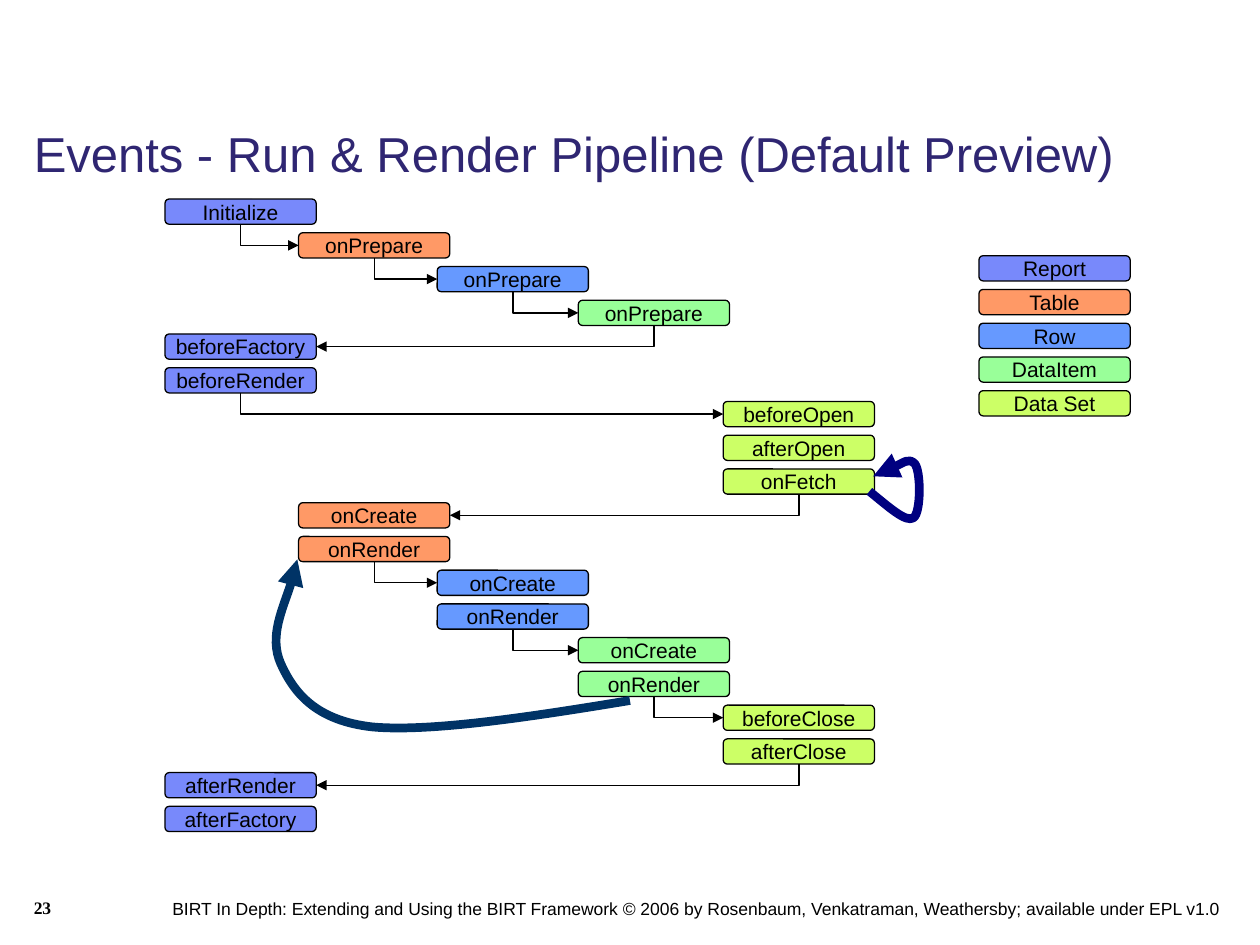
from itertools import pairwise

from lxml.etree import SubElement
from pptx import Presentation
from pptx.dml.color import RGBColor
from pptx.enum.shapes import MSO_CONNECTOR, MSO_SHAPE
from pptx.enum.text import MSO_ANCHOR, PP_ALIGN
from pptx.oxml.ns import qn
from pptx.util import Inches, Pt

BLACK = RGBColor(0x00, 0x00, 0x00)
INDIGO = RGBColor(0x2F, 0x26, 0x72)
NAVY = RGBColor(0x00, 0x00, 0x80)
DARK_TEAL = RGBColor(0x00, 0x33, 0x66)

# Content: each kind of element has its own colour and column
KINDS = {
    "Report": (RGBColor(0x78, 0x89, 0xFB), 1.31),
    "Table": (RGBColor(0xFF, 0x99, 0x66), 2.37),
    "Row": (RGBColor(0x66, 0x99, 0xFF), 3.47),
    "DataItem": (RGBColor(0x99, 0xFF, 0x99), 4.59),
    "Data Set": (RGBColor(0xCC, 0xFF, 0x66), 5.74),
}
EVENTS = [
    ("Report", "Initialize"),
    ("Table", "onPrepare"),
    ("Row", "onPrepare"),
    ("DataItem", "onPrepare"),
    ("Report", "beforeFactory"),
    ("Report", "beforeRender"),
    ("Data Set", "beforeOpen"),
    ("Data Set", "afterOpen"),
    ("Data Set", "onFetch"),
    ("Table", "onCreate"),
    ("Table", "onRender"),
    ("Row", "onCreate"),
    ("Row", "onRender"),
    ("DataItem", "onCreate"),
    ("DataItem", "onRender"),
    ("Data Set", "beforeClose"),
    ("Data Set", "afterClose"),
    ("Report", "afterRender"),
    ("Report", "afterFactory"),
]
# Loop arrows: a start point, then two control points and an end per curve
LOOPS = [
    (NAVY, [(6.9, 3.9), (7.05, 4.02), (7.19, 4.15), (7.25, 4.11),
            (7.31, 4.07), (7.31, 3.74), (7.26, 3.68),
            (7.21, 3.63), (6.99, 3.76), (6.93, 3.78)]),
    (DARK_TEAL, [(5, 5.56), (4.21, 5.69), (3.42, 5.81), (2.96, 5.77),
                 (2.5, 5.72), (2.33, 5.49), (2.23, 5.27),
                 (2.13, 5.05), (2.35, 4.57), (2.36, 4.44)]),
]
# Text, left, top, width, height, anchor, line spacing, font
TEXTS = [
    ("Events - Run & Render Pipeline (Default Preview)",
     (0.17, 0.95, 9.02, 0.55), MSO_ANCHOR.BOTTOM, 0.9,
     {"name": "Arial", "size": Pt(28)}, INDIGO),
    ("BIRT In Depth: Extending and Using the BIRT Framework © 2006 by Rosenbaum, "
     "Venkatraman, Weathersby; available under EPL v1.0",
     (1.27, 7.08, 8.73, 0.27), MSO_ANCHOR.TOP, 1.0,
     {"name": "Arial", "size": Pt(10)}, BLACK),
    ("23", (0.17, 7.07, 1.1, 0.35), MSO_ANCHOR.TOP, 1.0,
     {"name": "Times New Roman", "size": Pt(10), "bold": True}, BLACK),
]

# Grid, in inches
BOX_WIDTH, BOX_HEIGHT = 1.2, 0.2
FIRST_ROW, LAST_ROW = 1.58, 6.4
ROW_PITCH = (LAST_ROW - FIRST_ROW) / (len(EVENTS) - 1)
LEGEND_LEFT, LEGEND_TOP = 7.77, 2.03


def write(shape, text, font_values, color):
    paragraph = shape.text_frame.paragraphs[0]
    run = paragraph.add_run()
    run.text = text
    for name, value in font_values.items():
        setattr(run.font, name, value)
    run.font.color.rgb = color
    return paragraph


def add_box(slide, text, color, left, top):
    box = slide.shapes.add_shape(
        MSO_SHAPE.FLOWCHART_ALTERNATE_PROCESS,
        *map(Inches, (left, top, BOX_WIDTH, BOX_HEIGHT)))
    box.shadow.inherit = False
    box.fill.solid()
    box.fill.fore_color.rgb = color
    box.line.color.rgb = BLACK
    box.line.width = Pt(0.75)
    box.text_frame.word_wrap = False
    box.text_frame.vertical_anchor = MSO_ANCHOR.MIDDLE
    paragraph = write(box, text, {"name": "Arial", "size": Pt(12)}, BLACK)
    paragraph.alignment = PP_ALIGN.CENTER


def style_arrow(shape, color, width):
    shape.line.color.rgb = color
    shape.line.width = Pt(width)
    SubElement(shape.line._get_or_add_ln(), qn("a:tailEnd"), type="triangle")


def add_elbow(slide, start_x, start_y, end_x, end_y):
    """Draw an arrow that goes down first, then sideways."""
    # A one-bend connector is turned by 90 degrees about its centre
    across, down = abs(end_x - start_x), end_y - start_y
    center_x, center_y = (start_x + end_x) / 2, (start_y + end_y) / 2
    elbow = slide.shapes.add_connector(
        MSO_CONNECTOR.ELBOW,
        *map(Inches, (center_x - down / 2, center_y - across / 2,
                      center_x + down / 2, center_y + across / 2)))
    properties = elbow._element.spPr
    properties.find(qn("a:prstGeom")).set("prst", "bentConnector2")
    frame = properties.find(qn("a:xfrm"))
    if end_x > start_x:
        frame.set("rot", str(270 * 60000))
        frame.set("flipH", "1")
    else:
        frame.set("rot", str(90 * 60000))
    style_arrow(elbow, BLACK, 0.75)
    SubElement(properties, qn("a:effectLst"))


def add_loop(slide, color, points):
    start, *others = [(Inches(x), Inches(y)) for x, y in points]
    builder = slide.shapes.build_freeform(*start)
    builder.add_line_segments(others, close=False)
    loop = builder.convert_to_shape()
    # Join every three straight segments into one Bézier curve
    outline = next(loop._element.iter(qn("a:path")))
    segments = outline.findall(qn("a:lnTo"))
    for index in range(0, len(segments), 3):
        curve = SubElement(outline, qn("a:cubicBezTo"))
        for segment in segments[index:index + 3]:
            curve.append(segment[0])
            outline.remove(segment)
    loop.shadow.inherit = False
    loop.fill.background()
    style_arrow(loop, color, 5)


def main():
    presentation = Presentation()
    presentation.slide_width, presentation.slide_height = Inches(10), Inches(7.5)
    slide = presentation.slides.add_slide(presentation.slide_layouts[6])

    # Title, footer and page number
    for text, place, anchor, spacing, font_values, color in TEXTS:
        box = slide.shapes.add_textbox(*map(Inches, place))
        box.text_frame.word_wrap = True
        box.text_frame.vertical_anchor = anchor
        write(box, text, font_values, color).line_spacing = spacing

    # Events, one per row
    positions = []
    for row, (kind, event) in enumerate(EVENTS):
        color, left = KINDS[kind]
        top = FIRST_ROW + row * ROW_PITCH
        add_box(slide, event, color, left, top)
        positions.append((left, top))

    # An arrow wherever the flow moves to another column
    for (left, top), (next_left, next_top) in pairwise(positions):
        if left != next_left:
            end_x = next_left if next_left > left else next_left + BOX_WIDTH
            add_elbow(slide, left + BOX_WIDTH / 2, top + BOX_HEIGHT,
                      end_x, next_top + BOX_HEIGHT / 2)

    # Legend
    for row, (kind, (color, _)) in enumerate(KINDS.items()):
        add_box(slide, kind, color, LEGEND_LEFT, LEGEND_TOP + row * ROW_PITCH)

    # Repeated steps
    for color, points in LOOPS:
        add_loop(slide, color, points)

    presentation.save("out.pptx")


if __name__ == "__main__":
    main()
